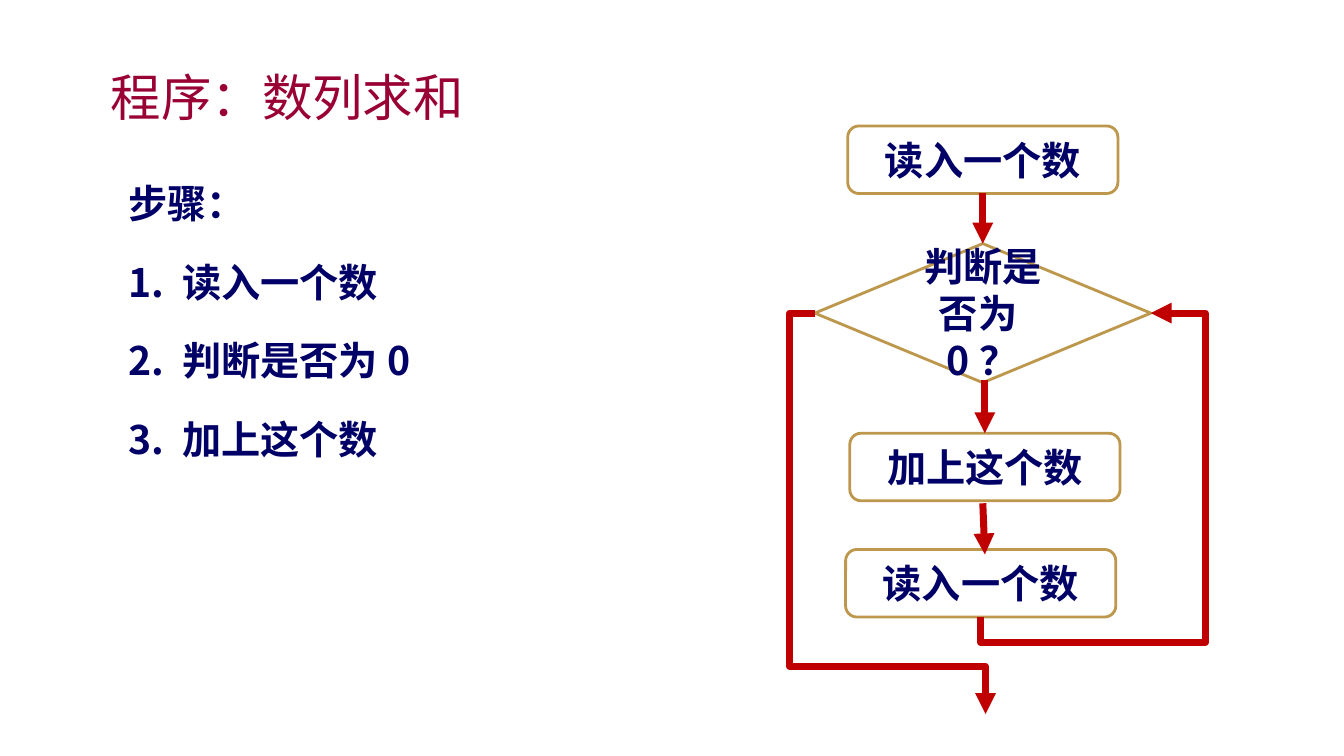
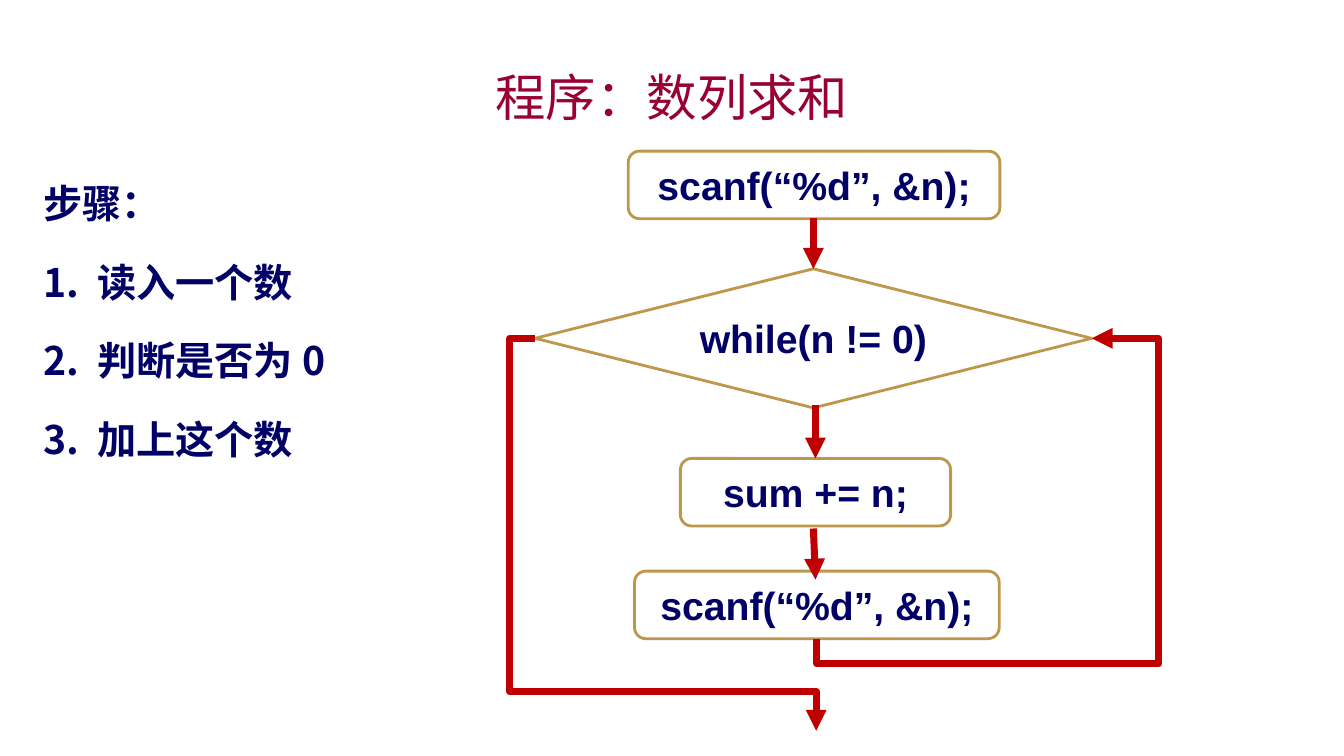
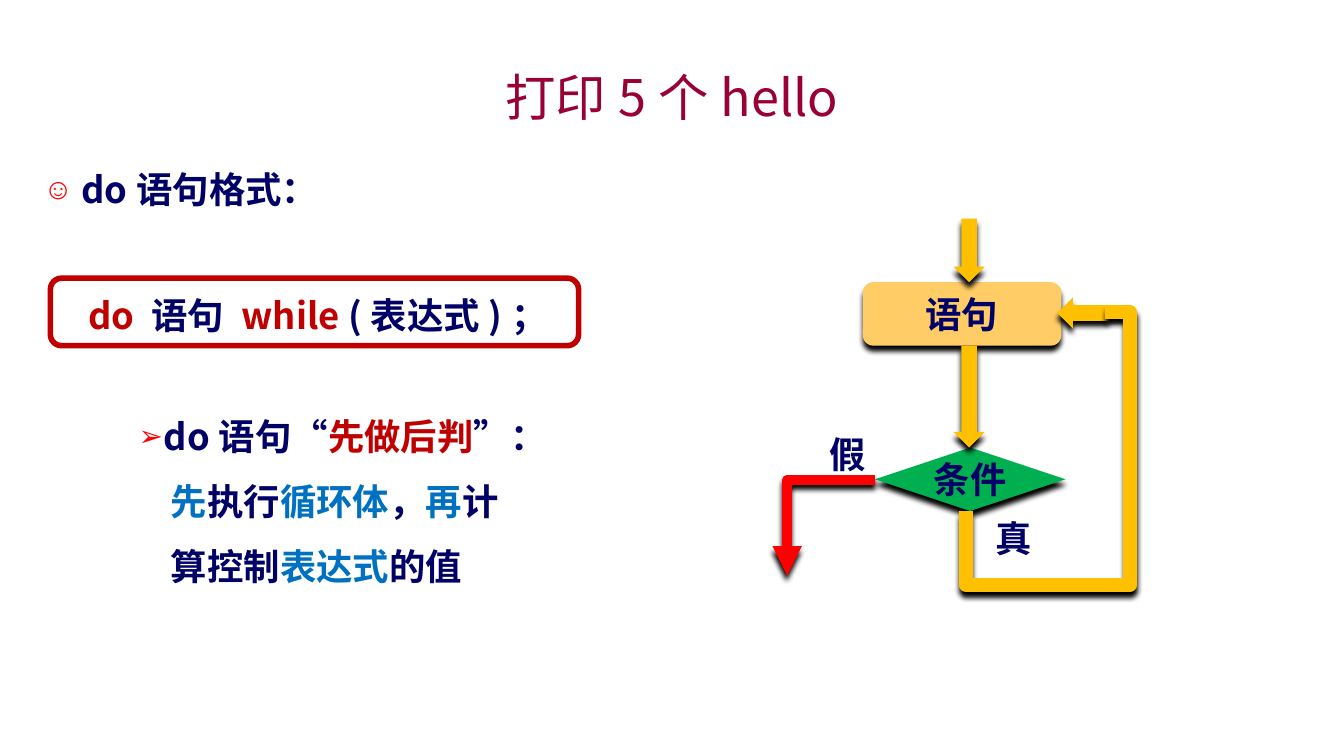
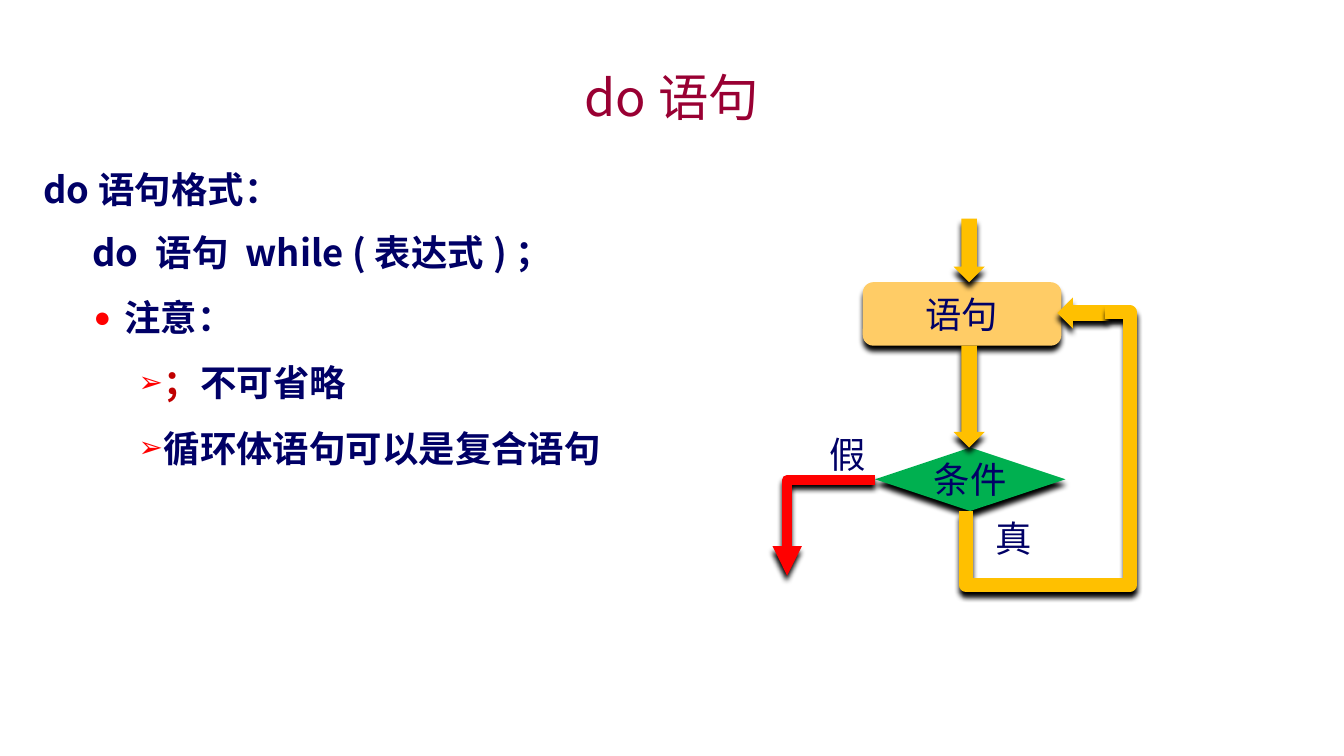
from dataclasses import dataclass
from typing import Any, Optional

from lxml.etree import SubElement
from pptx import Presentation
from pptx.dml.color import RGBColor as Rgb
from pptx.enum.shapes import MSO_CONNECTOR as Link, MSO_SHAPE as Preset
from pptx.enum.text import MSO_ANCHOR as Anchor, MSO_AUTO_SIZE as AutoSize, PP_ALIGN as Align
from pptx.oxml.ns import qn
from pptx.slide import Slide
from pptx.util import Pt

# Shared look
COLORS = {
    "title": "990033", "text": "000066", "keyword": "C00000", "stress": "0070C0",
    "frame": "BD974B", "white": "FFFFFF", "path": "C00000", "bullet": "FF0000",
    "statement": "FFCC66", "condition": "00B050", "loop": "FFC000", "leave": "FF0000",
    "shadow": "000000",
}
CJK, LATIN = "Noto Sans CJK SC", "Arial"
TITLE_BOX = (72, 41.76, 815.76, 54)
BODY_BOX = (23.76, 108, 912.24, 408.24)
INDENTED_BODY_BOX = (84.24, 108, 851.76, 408.24)
STEP_HEIGHT, TEST_HEIGHT = 48.24, 99.36

Box = tuple[float, float, float, float]
Point = tuple[float, float]


@dataclass(frozen=True)
class Line:
    """One paragraph: runs of (text, colour), and its layout in points."""
    runs: tuple[tuple[str, str], ...]
    spacing: float = 1.25
    before: float = 6
    level: int = 0
    margin: float = 0
    hanging: float = 0
    bullet: str = ""


@dataclass(frozen=True)
class Step:
    """A box of the flow chart, placed from the chart's axis and top."""
    text: str
    width: float
    shift: float
    drop: float


@dataclass(frozen=True)
class Flow:
    axis: float
    top: float
    font: str
    steps: tuple[Step, ...]
    test: Step
    loop_gap: float
    exit_drop: float


# Formatting helpers
def rgb(name: str) -> Rgb:
    return Rgb.from_string(COLORS[name])


def apply(target: Any, values: dict[str, Any]) -> None:
    for key, value in values.items():
        setattr(target, key, value)


def place(shape: Any, box: Box) -> None:
    apply(shape, dict(zip(("left", "top", "width", "height"), map(Pt, box))))


def add_run(paragraph: Any, text: str, size: float, color: str = "text",
            bold: bool = True, font: str = CJK) -> None:
    run = paragraph.add_run()
    run.text = text
    apply(run.font, {"size": Pt(size), "bold": bold, "name": font})
    run.font.color.rgb = rgb(color)
    SubElement(run.font._element, qn("a:ea"), typeface=font)


def set_bullet(paragraph: Any, line: Line) -> None:
    props = paragraph._p.get_or_add_pPr()
    props.set("marL", str(Pt(line.margin)))
    props.set("indent", str(-Pt(line.hanging)))
    if not line.bullet:
        SubElement(props, qn("a:buNone"))
        return
    color = SubElement(props, qn("a:buClr"))
    SubElement(color, qn("a:srgbClr"), val=COLORS["bullet"])
    SubElement(props, qn("a:buSzPct"), val="80000")
    SubElement(props, qn("a:buChar"), char=line.bullet)


def set_shadow(effects: Any) -> None:
    shadow = SubElement(effects, qn("a:outerShdw"), blurRad=str(Pt(4)), dist=str(Pt(4)),
                        dir="5400000", algn="t", rotWithShape="0")
    SubElement(shadow, qn("a:srgbClr"), val=COLORS["shadow"])


# Slide frame: title and list
def add_slide(deck: Any, title: str, lines: tuple[Line, ...], size: float,
              align: Align = Align.CENTER, body_box: Optional[Box] = None) -> Slide:
    slide = deck.slides.add_slide(deck.slide_layouts[1])
    heading = slide.shapes.title.text_frame
    apply(heading, {"vertical_anchor": Anchor.MIDDLE, "auto_size": AutoSize.NONE})
    heading.paragraphs[0].alignment = align
    add_run(heading.paragraphs[0], title, 36, "title", bold=False)

    body = slide.placeholders[1]
    if body_box:
        place(body, body_box)
    listing = body.text_frame
    listing.auto_size = AutoSize.NONE
    for index, line in enumerate(lines):
        paragraph = listing.add_paragraph() if index else listing.paragraphs[0]
        set_bullet(paragraph, line)
        apply(paragraph, {"level": line.level, "line_spacing": line.spacing,
                          "space_before": Pt(line.before if index else 0)})
        for text, color in line.runs:
            add_run(paragraph, text, size, color)
    return slide


# Chart parts
def add_box(slide: Slide, preset: Preset, box: Box, text: str = "", fill: str = "",
            outline: str = "", weight: float = 2, size: float = 28, font: str = CJK,
            bold: bool = True, shadow: bool = False) -> None:
    shape = slide.shapes.add_shape(preset, *map(Pt, box))
    shape.shadow.inherit = False
    if shadow:
        set_shadow(shape._element.spPr.find(qn("a:effectLst")))
    if fill:
        shape.fill.solid()
        shape.fill.fore_color.rgb = rgb(fill)
    else:
        shape.fill.background()
    if outline:
        shape.line.color.rgb = rgb(outline)
        shape.line.width = Pt(weight)
    else:
        shape.line.fill.background()
    if text:
        apply(shape.text_frame, {"word_wrap": True, "vertical_anchor": Anchor.MIDDLE})
        paragraph = shape.text_frame.paragraphs[0]
        paragraph.alignment = Align.CENTER
        add_run(paragraph, text, size, bold=bold, font=font)


def add_path(slide: Slide, start: Point, end: Point, kind: Link = Link.STRAIGHT,
             color: str = "path", weight: float = 5, arrow: bool = True,
             shadow: bool = False) -> Any:
    path = slide.shapes.add_connector(kind, *map(Pt, (*start, *end)))
    path.line.color.rgb = rgb(color)
    path.line.width = Pt(weight)
    if arrow:
        SubElement(path.line._get_or_add_ln(), qn("a:tailEnd"), type="triangle")
    effects = SubElement(path._element.spPr, qn("a:effectLst"))
    if shadow:
        set_shadow(effects)
    return path


def bend(path: Any, preset: str, *ratios: float) -> None:
    geometry = path._element.spPr.find(qn("a:prstGeom"))
    geometry.set("prst", preset)
    guides = geometry.find(qn("a:avLst"))
    for number, ratio in enumerate(ratios, 1):
        SubElement(guides, qn("a:gd"), name=f"adj{number}", fmla=f"val {round(ratio * 100000)}")


def add_loop_back(slide: Slide, start: Point, end: Point, bottom: float, right: float,
                  **style: Any) -> None:
    """Go down to bottom, out to right, up and back left to end."""
    (x1, y1), (x2, y2) = start, end
    across, along = x2 - x1, y1 - y2
    mid_x, mid_y = (x1 + x2) / 2, (y1 + y2) / 2
    path = add_path(slide, (mid_x - along / 2, mid_y - across / 2),
                    (mid_x + along / 2, mid_y + across / 2), Link.ELBOW, **style)
    path.rotation = 90 if hasattr(path, "rotation") else None
    frame = path._element.spPr.find(qn("a:xfrm"))
    for key, value in {"rot": "5400000", "flipH": "1", "flipV": "1"}.items():
        frame.set(key, value)
    bend(path, "bentConnector4", (y1 - bottom) / along, (right - x1) / across)


def add_exit(slide: Slide, start: Point, end: Point, left: float, turn: float) -> None:
    """Go out to left, down to turn, back right and down to end."""
    path = add_path(slide, start, end, Link.ELBOW)
    bend(path, "bentConnector4", (left - start[0]) / (end[0] - start[0]),
         (turn - start[1]) / (end[1] - start[1]))


# Flow chart of the summing program
def draw_flow(slide: Slide, flow: Flow) -> None:
    axis, top, test = flow.axis, flow.top, flow.test
    look = {"fill": "white", "outline": "frame", "font": flow.font}
    for step in (*flow.steps, test):
        preset, height = ((Preset.FLOWCHART_DECISION, TEST_HEIGHT) if step is test
                          else (Preset.ROUNDED_RECTANGLE, STEP_HEIGHT))
        left = axis + step.shift - step.width / 2
        add_box(slide, preset, (left, top + step.drop, step.width, height), step.text, **look)

    for x1, y1, x2, y2 in ((0, 48, 0, 84), (1.5, 181.5, 1.5, 219.5), (0, 269.5, 1.5, 306)):
        add_path(slide, (axis + x1, top + y1), (axis + x2, top + y2))

    last = flow.steps[-1]
    test_x, test_y = axis + test.shift, top + test.drop + TEST_HEIGHT / 2
    test_left, test_right = test_x - test.width / 2, test_x + test.width / 2
    last_bottom = top + last.drop + STEP_HEIGHT
    add_loop_back(slide, (axis + last.shift, last_bottom), (test_right, test_y),
                  last_bottom + 18, test_right + flow.loop_gap)
    add_exit(slide, (test_left, test_y), (axis + 2, top + flow.exit_drop),
             test_left - 18, top + 386)


# Diagram of the do statement
def draw_do_loop(slide: Slide, bold: bool) -> None:
    label = {"size": 26, "bold": bold}
    add_box(slide, Preset.ROUNDED_RECTANGLE, (616.32, 201.6, 141.84, 45.36), "语句",
            "statement", shadow=True, **label)
    add_box(slide, Preset.DIAMOND, (624.96, 319.68, 136.08, 45.36), "条件",
            "condition", shadow=True, **label)
    add_box(slide, Preset.LEFT_ARROW, (755.28, 212.4, 36.72, 22.32), fill="loop", shadow=True)
    add_loop_back(slide, (689.76, 365.04), (789.12, 223.2), 417.6, 807.12,
                  color="loop", weight=10, arrow=False, shadow=True)
    leave = add_path(slide, (624.96, 342.72), (562.32, 411.12), Link.ELBOW,
                     "leave", 7, shadow=True)
    bend(leave, "bentConnector2")
    for top, height in ((246.96, 72.72), (156.24, 45.36)):
        add_box(slide, Preset.DOWN_ARROW, (681.12, top, 22.32, height), fill="loop", shadow=True)
    for text, left, top in (("真", 704.16, 365.04), ("假", 585.36, 305.28)):
        branch = slide.shapes.add_textbox(*map(Pt, (left, top, 39.6, 38.88))).text_frame
        apply(branch, {"word_wrap": False, "auto_size": AutoSize.SHAPE_TO_FIT_TEXT})
        add_run(branch.paragraphs[0], text, **label)


# Content
SUM_TITLE = "程序：数列求和"
SUM_STEPS = tuple(
    Line(((text, "text"),), spacing=1.5, before=5.6)
    for text in ("步骤：", "1. 读入一个数", "2. 判断是否为0", "3. 加上这个数"))
WORD_FLOW = Flow(
    702, 90, CJK,
    (Step("读入一个数", 193, 0, 0), Step("加上这个数", 193, 1.5, 219.5),
     Step("读入一个数", 193, -1.5, 302.5)),
    Step("判断是否为0？", 240, 0, 84), 39, 420)
CODE_FLOW = Flow(
    581, 108, LATIN,
    (Step("scanf(“%d”, &n);", 265.5, 0.5, 0), Step("sum += n;", 193, 1.5, 219.5),
     Step("scanf(“%d”, &n);", 260.5, 2.5, 300)),
    Step("while(n != 0)", 397.5, 0, 84), 48, 414)

POINT = {"spacing": 1.3, "level": 2, "margin": 86, "hanging": 18, "bullet": "➢"}
CONTINUED = {"spacing": 1.3, "level": 2, "margin": 91}
DO_FORMAT = (
    Line((("do语句格式：", "text"),), margin=27, hanging=27, bullet="☺"),
    Line((("do ", "keyword"), ("语句 ", "text"), ("while ", "keyword"), ("(表达式)；", "text")),
         before=51, margin=32),
    Line((("do语句“", "text"), ("先做后判", "keyword"), ("”：", "text")), before=46, **POINT),
    Line((("先", "stress"), ("执行", "text"), ("循环体", "stress"), ("，", "text"),
          ("再", "stress"), ("计", "text")), **CONTINUED),
    Line((("算控制", "text"), ("表达式", "stress"), ("的值", "text")), **CONTINUED),
)
DO_NOTES = (
    Line((("do语句格式：", "text"),)),
    Line((("do 语句 while (表达式)；", "text"),), margin=35),
    Line((("注意：", "text"),), spacing=1.3, level=1, margin=58, hanging=22, bullet="●"),
    Line((("；", "keyword"), ("不可省略", "text")), **POINT),
    Line((("循环体语句可以是复合语句", "text"),), **POINT),
)


def main() -> None:
    deck = Presentation()
    apply(deck, {"slide_width": Pt(960), "slide_height": Pt(540)})
    for holder, box in zip(deck.slide_layouts[1].placeholders, (TITLE_BOX, BODY_BOX)):
        place(holder, box)

    words = add_slide(deck, SUM_TITLE, SUM_STEPS, 28, Align.LEFT, INDENTED_BODY_BOX)
    draw_flow(words, WORD_FLOW)

    code = add_slide(deck, SUM_TITLE, SUM_STEPS, 28)
    draw_flow(code, CODE_FLOW)

    do_format = add_slide(deck, "打印5个hello", DO_FORMAT, 26)
    add_box(do_format, Preset.ROUNDED_RECTANGLE, (36, 198.72, 377.28, 48.24),
            outline="keyword", weight=4)
    draw_do_loop(do_format, bold=True)

    do_notes = add_slide(deck, "do语句", DO_NOTES, 26)
    draw_do_loop(do_notes, bold=False)

    deck.save("out.pptx")


if __name__ == "__main__":
    main()
